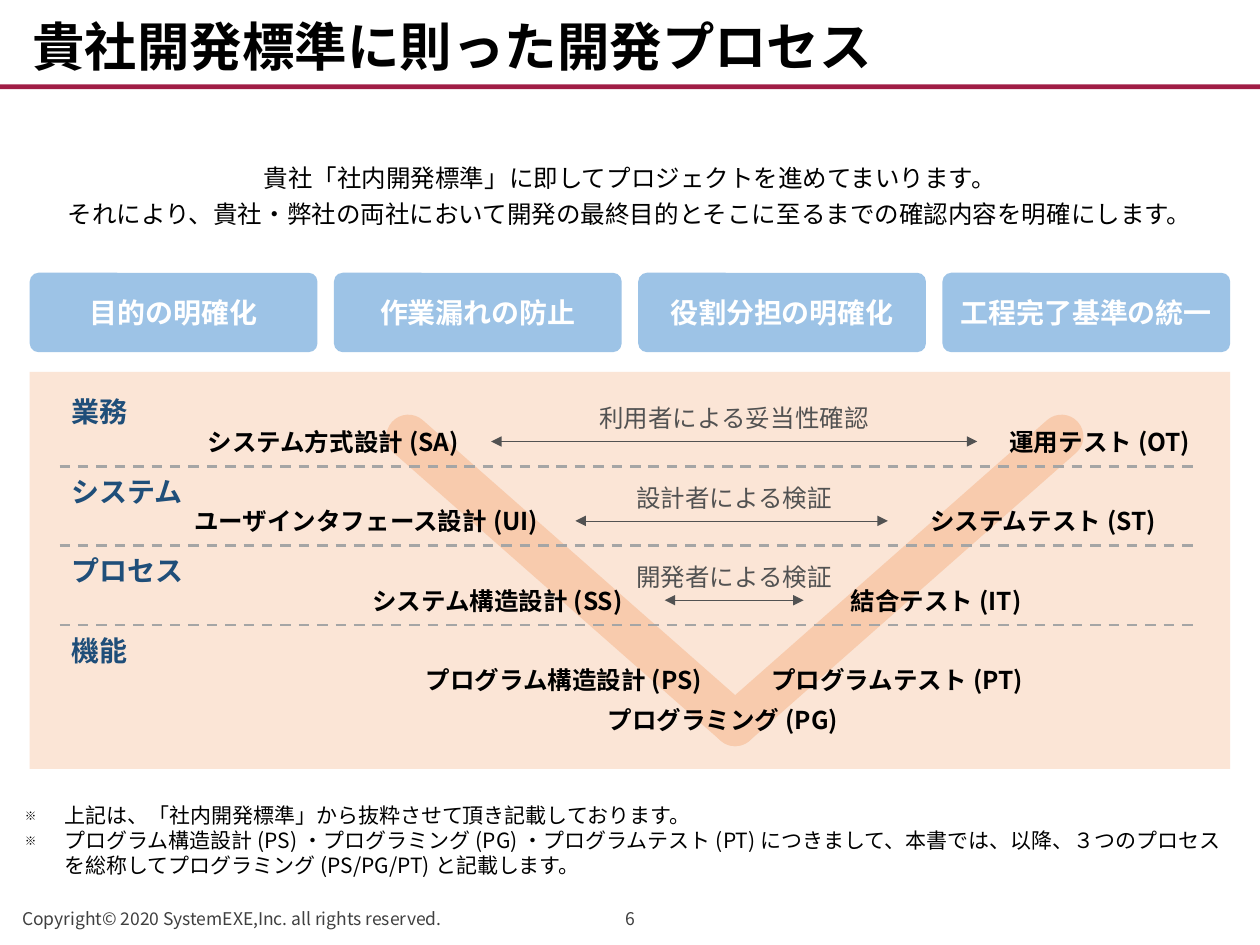
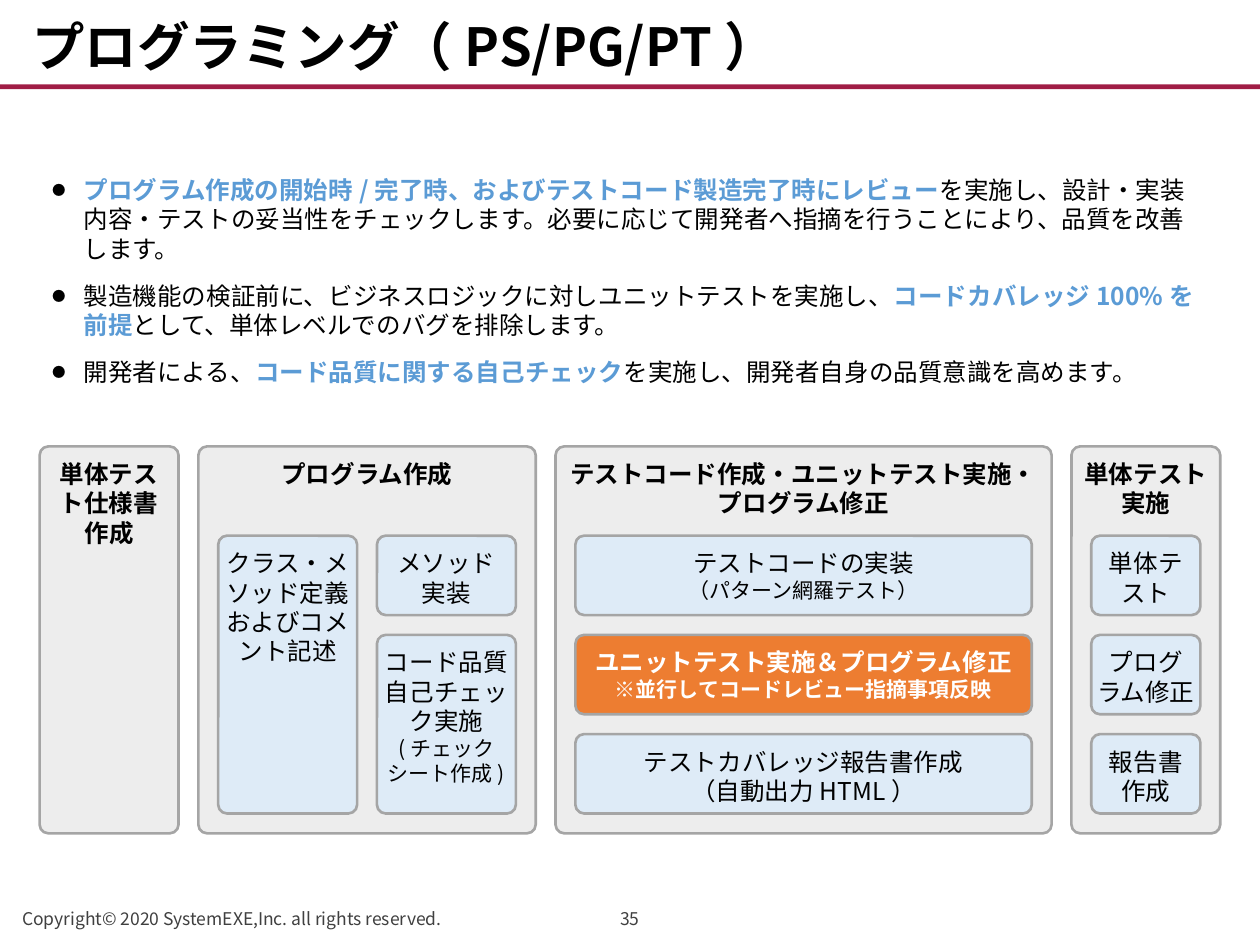
from lxml.etree import SubElement as Sub
from pptx import Presentation
from pptx.dml.color import RGBColor
from pptx.enum.dml import MSO_LINE as Dash
from pptx.enum.shapes import MSO_CONNECTOR as Conn, MSO_SHAPE as Form
from pptx.enum.text import MSO_ANCHOR as Anchor, PP_ALIGN as Align
from pptx.oxml.ns import qn
from pptx.util import Cm, Pt

FONT = "Noto Sans CJK JP"
BLACK, WHITE, WINE, DARK = "000000", "FFFFFF", "A01D45", "404040"
SKY, BLUE, NAVY, ICE = "9DC3E6", "5B9BD5", "1F4E79", "DEEBF7"
PEACH, SALMON, ORANGE = "FBE5D6", "F8CBAD", "ED7D31"
GREY, PALE, SLATE = "A5A5A5", "EDEDED", "525252"
RIGHT, MID = Align.RIGHT, Align.CENTER
COPY = "Copyright© 2020 SystemEXE,Inc. all rights reserved."


def color(code):
    return RGBColor.from_string(code)


class Deck:
    def __init__(self):
        self.prs = Presentation()
        self.prs.slide_width, self.prs.slide_height = Cm(25.4), Cm(19.05)

    def page(self, title, number):
        self.slide = self.prs.slides.add_slide(self.prs.slide_layouts[6])
        self.block((0, 1.7, 25.4, 0.1), WINE)
        head = self.text((0.4, 0.1, 24.6, 1.6), title, 30, bold=True,
                         anchor=Anchor.BOTTOM, wrap=False)
        head.paragraphs[0].line_spacing = 0.9
        self.text((0.2, 18.06, 10.8, 0.8), COPY, 10, DARK, anchor=Anchor.BOTTOM)
        self.text((11.7, 18.06, 2, 0.8), str(number), 10, DARK, align=MID,
                  anchor=Anchor.BOTTOM)

    def style(self, run, size, tint, bold):
        font = run.font
        font.size, font.bold, font.name = Pt(size), bold, FONT
        font.color.rgb = color(tint)
        Sub(run._r.get_or_add_rPr(), qn("a:ea"), typeface=FONT)

    def fill(self, frame, words, size, tint=BLACK, bold=False, align=Align.LEFT,
             anchor=Anchor.TOP, wrap=True, pad=(0.25, 0.13), small=()):
        frame.text = words
        frame.word_wrap, frame.vertical_anchor = wrap, anchor
        frame.margin_left = frame.margin_right = Cm(pad[0])
        frame.margin_top = frame.margin_bottom = Cm(pad[1])
        for i, para in enumerate(frame.paragraphs):
            para.alignment = align
            for run in para.runs:
                self.style(run, 12 if i in small else size, tint, bold)
        return frame

    def text(self, box, words, size, tint=BLACK, **look):
        shape = self.slide.shapes.add_textbox(*map(Cm, box))
        return self.fill(shape.text_frame, words, size, tint, **look)

    def block(self, box, fill, form=Form.RECTANGLE, edge=None):
        shape = self.slide.shapes.add_shape(form, *map(Cm, box))
        shape.shadow.inherit = False
        shape.fill.solid()
        shape.fill.fore_color.rgb = color(fill)
        if edge:
            shape.line.color.rgb, shape.line.width = color(edge), Pt(1.5)
        else:
            shape.line.fill.background()
        return shape

    def card(self, box, fill, words, size=14, edge=GREY, **look):
        shape = self.block(box, fill, Form.ROUNDED_RECTANGLE, edge)
        shape.adjustments[0] = 0.176 / min(box[2:])
        self.fill(shape.text_frame, words, size, align=MID, **look)

    def line(self, start, end, tint, width, dash=None, cap=None, arrows=False):
        conn = self.slide.shapes.add_connector(
            Conn.STRAIGHT, *map(Cm, start + end))
        conn.line.color.rgb, conn.line.width = color(tint), Pt(width)
        if dash:
            conn.line.dash_style = dash
        props = conn._element.spPr
        stroke = props.find(qn("a:ln"))
        if cap:
            stroke.set("cap", cap)
        if arrows:
            for tip in ("a:headEnd", "a:tailEnd"):
                Sub(stroke, qn(tip), type="triangle")
        Sub(props, qn("a:effectLst"))

    def bullet(self, para, mark, indent):
        props = para._p.get_or_add_pPr()
        props.set("marL", str(Cm(indent)))
        props.set("indent", str(-Cm(indent)))
        tint = Sub(props, qn("a:buClr"))
        Sub(tint, qn("a:srgbClr"), val=BLACK)
        Sub(props, qn("a:buSzPct"), val="55000")
        Sub(props, qn("a:buFont"), typeface=FONT)
        Sub(props, qn("a:buChar"), char=mark)

    def points(self, box, items):
        frame = self.text(box, "", 14)
        for i, item in enumerate(items):
            para = frame.add_paragraph() if i else frame.paragraphs[0]
            self.bullet(para, "●", 0.64)
            if i:
                para.space_before = Pt(10)
            for j, part in enumerate(item.split("*")):
                if part:
                    run = para.add_run()
                    run.text = part
                    self.style(run, 14, BLUE if j % 2 else BLACK, j % 2 == 1)


def process(deck):
    deck.page("貴社開発標準に則った開発プロセス", 6)
    intro = deck.text(
        (0.4, 3, 24.6, 1.6),
        "貴社「社内開発標準」に即してプロジェクトを進めてまいります。\n"
        "それにより、貴社・弊社の両社において開発の最終目的と"
        "そこに至るまでの確認内容を明確にします。", 14, align=MID)
    for para in intro.paragraphs:
        para.line_spacing = Pt(21)
    notes = deck.text(
        (0.4, 15.9, 24.6, 1.8),
        "上記は、「社内開発標準」から抜粋させて頂き記載しております。\n"
        "プログラム構造設計(PS)・プログラミング(PG)・プログラムテスト(PT)に"
        "つきまして、本書では、以降、３つのプロセスを総称して"
        "プログラミング(PS/PG/PT)と記載します。",
        12, anchor=Anchor.BOTTOM, pad=(0.1, 0))
    for para in notes.paragraphs:
        deck.bullet(para, "※", 0.8)

    goals = ("目的の明確化", "作業漏れの防止", "役割分担の明確化", "工程完了基準の統一")
    for i, goal in enumerate(goals):
        deck.card((0.6 + i * 18.4 / 3, 5.5, 5.8, 1.6), SKY, goal, 16, None,
                  tint=WHITE, bold=True, anchor=Anchor.MIDDLE)

    deck.block((0.6, 7.5, 24.2, 8), PEACH)
    for x in (8.23, 21.4):
        deck.line((x, 8.8), (14.82, 14.6), SALMON, 25, cap="rnd")

    label = dict(bold=True, anchor=Anchor.MIDDLE)
    rows = (
        ("業務", 9.5, "システム方式設計(SA)", "運用テスト(OT)"),
        ("システム", 11.1, "ユーザインタフェース設計(UI)", "システムテスト(ST)"),
        ("プロセス", 12.8, "システム構造設計(SS)", "結合テスト(IT)"),
        ("機能", 14.4, "プログラム構造設計(PS)", "プログラムテスト(PT)"),
    )
    for i, (level, end, design, test) in enumerate(rows):
        y = 7.8 + 1.6 * i
        x = 20.1 - 1.6 * i
        deck.text((1.2, y, 3, 1), level, 16, NAVY, **label)
        deck.text((end - 8, y + 0.6, 8, 1), design, 14, align=RIGHT, **label)
        deck.text((x, y + 0.6, 24.8 - x, 1), test, 14, **label)
    deck.text((12, 14, 6, 1), "プログラミング(PG)", 14, **label)

    checks = (
        ("利用者による妥当性確認", 9.9, 19.7),
        ("設計者による検証", 11.6, 17.9),
        ("開発者による検証", 13.4, 16.2),
    )
    for i, (check, left, right) in enumerate(checks):
        y = 8 + 1.6 * i
        deck.line((1.2, y + 1.4), (24.2, y + 1.4), GREY, 1.5, Dash.DASH)
        deck.line((left, y + 0.9), (right, y + 0.9), SLATE, 0.25, arrows=True)
        deck.text((11.8, y, 6, 0.86), check, 14, SLATE, align=MID)


def coding(deck):
    deck.page("プログラミング（PS/PG/PT）", 35)
    deck.points((0.8, 3.4, 23.8, 4.6), (
        "*プログラム作成の開始時/完了時、およびテストコード製造完了時にレビュー*"
        "を実施し、設計・実装内容・テストの妥当性をチェックします。"
        "必要に応じて開発者へ指摘を行うことにより、品質を改善します。",
        "製造機能の検証前に、ビジネスロジックに対しユニットテストを実施し、"
        "*コードカバレッジ100%を前提*として、単体レベルでのバグを排除します。",
        "開発者による、*コード品質に関する自己チェック*を実施し、"
        "開発者自身の品質意識を高めます。",
    ))

    phases = (
        (2.8, "単体テスト仕様書作成"),
        (6.8, "プログラム作成"),
        (10, "テストコード作成・ユニットテスト実施・プログラム修正"),
        (3, "単体テスト実施"),
    )
    x = 0.8
    for width, phase in phases:
        deck.card((x, 9, width, 7.8), PALE, phase, bold=True, pad=(0.2, 0.2))
        x += width + 0.4

    hot = dict(fill=ORANGE, tint=WHITE, bold=True, wrap=False)
    loose = dict(wrap=False)
    tasks = (
        (4.4, 2.8, 0, 3, "クラス・メソッド定義およびコメント記述", (), {}),
        (7.6, 2.8, 0, 1, "メソッド\n実装", (), {}),
        (7.6, 2.8, 1, 2, "コード品質\n自己チェッ\nク実施\n(チェック\nシート作成)",
         (3, 4), loose),
        (11.6, 9.2, 0, 1, "テストコードの実装\n（パターン網羅テスト）", (1,), {}),
        (11.6, 9.2, 1, 1, "ユニットテスト実施＆プログラム修正\n"
         "※並行してコードレビュー指摘事項反映", (1,), hot),
        (11.6, 9.2, 2, 1, "テストカバレッジ報告書作成\n（自動出力HTML）", (), {}),
        (22, 2.2, 0, 1, "単体テスト", (), {}),
        (22, 2.2, 1, 1, "プログ\nラム修正", (), loose),
        (22, 2.2, 2, 1, "報告書作成", (), {}),
    )
    for x, width, row, span, words, small, look in tasks:
        box = (x, 10.8 + 2 * row, width, 2 * span - 0.4)
        deck.card(box, words=words, small=small, pad=(0.1, 0.2),
                  **{"fill": ICE, **look})


def main():
    deck = Deck()
    process(deck)
    coding(deck)
    deck.prs.save("out.pptx")


if __name__ == "__main__":
    main()
